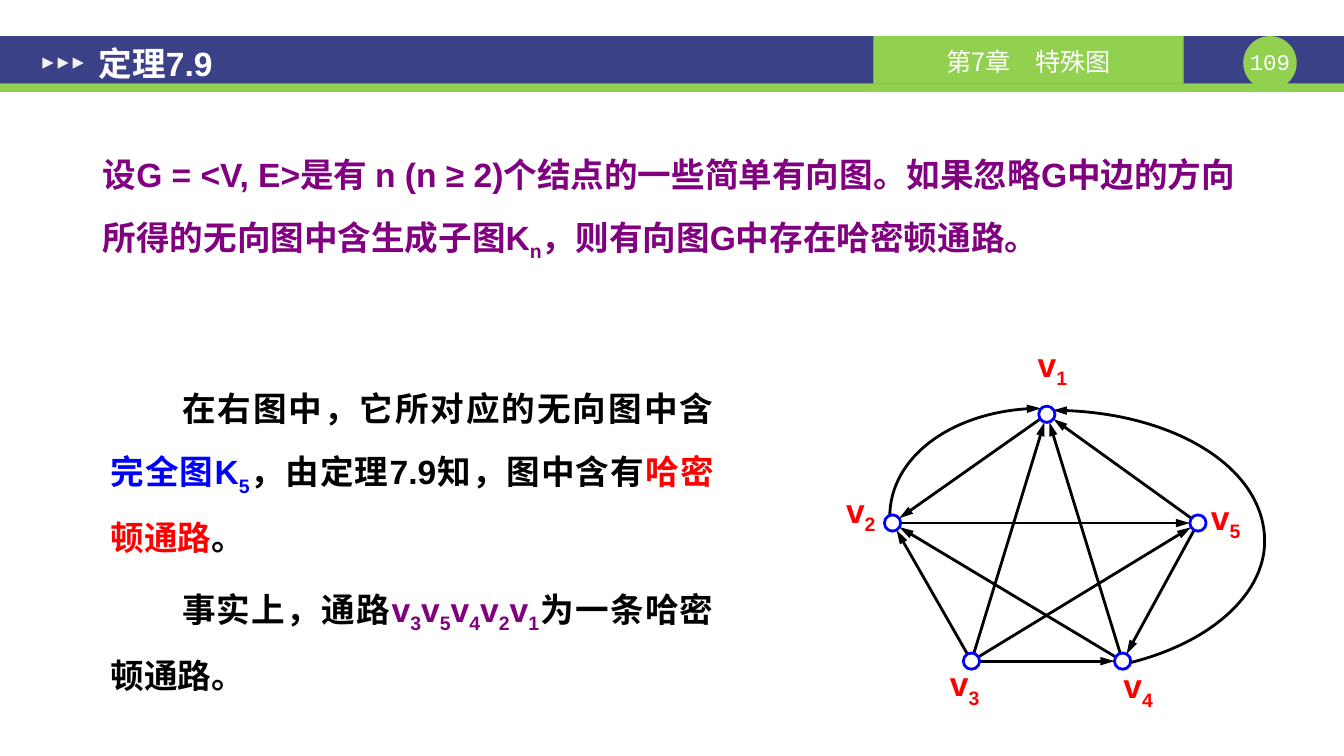
from math import hypot

from lxml import etree
from pptx import Presentation, util as u
from pptx.dml.color import RGBColor
from pptx.enum import shapes, text
from pptx.oxml.ns import qn

COLORS = {
    "navy": "3A4187", "green": "92D050", "pale": "F2F2F2", "white": "FFFFFF",
    "black": "000000", "purple": "800080", "blue": "0000FF", "red": "FF0000",
}
CJK_FONT = "Noto Sans CJK SC"
NODE_SIZE = 0.41
LABEL_SIZE = (1.6, 1.02)

NODES = {1: (26.39, 10.44), 2: (22.5, 13.18), 3: (24.49, 16.66),
         4: (28.3, 16.66), 5: (30.2, 13.18)}
LABELS = {1: (25.73, 8.66), 2: (20.9, 12.34), 3: (23.52, 16.71),
          4: (27.89, 16.76), 5: (30.1, 12.52)}
EDGES = [(2, 5), (3, 1), (4, 1), (3, 5), (1, 2),
         (5, 4), (3, 4), (4, 2), (5, 1), (3, 2)]
# Start point, then three points for each Bézier segment
ARCS = [
    [(26.54, 10.34), (29.49, 10.34), (31.88, 11.81), (31.88, 13.64),
     (31.88, 15.01), (30.45, 16.26), (28.32, 16.74)],
    [(26.24, 10.29), (24.13, 10.29), (22.43, 11.53), (22.43, 13.03)],
]


def rgb(name):
    return RGBColor.from_string(COLORS[name])


class Board:
    def __init__(self, slide, font="Arial", size=24, stroke=2):
        self.slide = slide
        self.font = font
        self.size = size
        self.stroke = stroke

    def shape(self, kind, box, fill, line=None):
        item = self.slide.shapes.add_shape(kind, *map(u.Cm, box))
        item.shadow.inherit = False
        item.fill.solid()
        item.fill.fore_color.rgb = rgb(fill)
        if line:
            self.outline(item, line)
        else:
            item.line.fill.background()
        return item

    def outline(self, item, color):
        item.line.color.rgb = rgb(color)
        item.line.width = u.Pt(self.stroke)

    def arrowhead(self, item, end):
        etree.SubElement(item.line._get_or_add_ln(), qn(f"a:{end}"),
                         type="triangle", w="med", len="lg")

    def edge(self, start, end):
        """Arrow between two node centres, trimmed to the node rims."""
        (x1, y1), (x2, y2) = start, end
        trim = NODE_SIZE / 2 / hypot(x2 - x1, y2 - y1)
        dx, dy = (x2 - x1) * trim, (y2 - y1) * trim
        ends = (x1 + dx, y1 + dy, x2 - dx, y2 - dy)
        line = self.slide.shapes.add_connector(
            shapes.MSO_CONNECTOR.STRAIGHT, *map(u.Cm, ends))
        self.outline(line, "black")
        self.arrowhead(line, "tailEnd")
        etree.SubElement(line._element.spPr, qn("a:effectLst"))

    def arc(self, points):
        """Bézier curve with an arrowhead at its first point."""
        start, *rest = [(u.Cm(x), u.Cm(y)) for x, y in points]
        builder = self.slide.shapes.build_freeform(*start)
        builder.add_line_segments(rest, close=False)
        curve = builder.convert_to_shape()
        curve.shadow.inherit = False
        curve.fill.background()
        self.outline(curve, "black")
        self.arrowhead(curve, "headEnd")
        route = next(curve._element.iter(qn("a:path")))
        corners = route.findall(qn("a:lnTo"))
        for i in range(0, len(corners), 3):
            bezier = etree.SubElement(route, qn("a:cubicBezTo"))
            for corner in corners[i:i + 3]:
                bezier.append(corner[0])
                route.remove(corner)

    def textbox(self, box, paragraphs, inset=(0, 0), anchor="TOP", **style):
        item = self.slide.shapes.add_textbox(*map(u.Cm, box))
        self.fill_text(item, paragraphs, inset * 2, anchor, **style)

    def fill_text(self, item, paragraphs, insets, anchor, align="LEFT",
                  indent=0, spacing=None, **font):
        """Each paragraph is a list of (marked text, colour)."""
        frame = item.text_frame
        frame.word_wrap = True
        frame.vertical_anchor = getattr(text.MSO_ANCHOR, anchor)
        (frame.margin_left, frame.margin_top,
         frame.margin_right, frame.margin_bottom) = map(u.Cm, insets)
        for i, spans in enumerate(paragraphs):
            paragraph = frame.add_paragraph() if i else frame.paragraphs[0]
            paragraph.alignment = getattr(text.PP_ALIGN, align)
            if spacing:
                paragraph.line_spacing = spacing
                if i:
                    paragraph.space_before = u.Pt(6)
            if indent:
                paragraph._p.get_or_add_pPr().set("indent", str(u.Cm(indent)))
            for marked, color in spans:
                self.spans(paragraph, marked, color, **font)

    def spans(self, paragraph, marked, color, **font):
        """Add text in which "_" lowers the one character after it."""
        first, *others = marked.split("_")
        self.run(paragraph, first, color, **font)
        for part in others:
            lowered = self.run(paragraph, part[0], color, **font)
            lowered._r.get_or_add_rPr().set("baseline", "-25000")
            self.run(paragraph, part[1:], color, **font)

    def run(self, paragraph, content, color, font=None, size=None, bold=True):
        if not content:
            return None
        run = paragraph.add_run()
        run.text = content
        run.font.size = u.Pt(size or self.size)
        run.font.bold = bold
        run.font.color.rgb = rgb(color)
        run.font.name = font or self.font
        etree.SubElement(run._r.get_or_add_rPr(), qn("a:ea"), typeface=CJK_FONT)
        return run


def draw_header(board, width):
    kinds = shapes.MSO_SHAPE
    board.shape(kinds.RECTANGLE, (0, 0.91, width, 1.2), "navy")
    board.shape(kinds.RECTANGLE, (0, 2.12, width, 0.2), "green")
    board.shape(kinds.OVAL, (31.34, 0.91, 1.35, 1.35), "green")
    board.textbox((31.34, 1.22, 1.35, 0.69), [[("109", "white")]],
                  align="CENTER", font="Courier New", size=16, bold=False)
    chapter = board.shape(kinds.RECTANGLE, (22.02, 0.91, 7.82, 1.2), "green")
    board.fill_text(chapter, [[("第7章　特殊图", "white")]],
                    (0.25, 0.1, 0.25, 0), "MIDDLE", align="CENTER",
                    font=CJK_FONT, size=18, bold=False)
    for i in range(3):
        marker = board.shape(kinds.ISOSCELES_TRIANGLE,
                             (1.07 + 0.38 * i, 1.45, 0.28, 0.28), "pale")
        marker.rotation = 90
    board.textbox((2.16, 0.99, 14.81, 1.19), [[("定理7.9", "white")]],
                  (0.33, 0.18), "MIDDLE")


def draw_statements(board):
    theorem = ("设G = <V, E>是有 n (n ≥ 2)个结点的一些简单有向图。如果忽略G中边的方向"
               "所得的无向图中含生成子图K_n，则有向图G中存在哈密顿通路。")
    board.textbox((2.26, 3.18, 29.87, 3.91), [[(theorem, "purple")]],
                  (0.33, 0.18), spacing=1.5)
    example = [
        [("在右图中，它所对应的无向图中含", "black"), ("完全图K_5", "blue"),
         ("，由定理7.9知，图中含有", "black"), ("哈密顿通路", "red"),
         ("。", "black")],
        [("事实上，通路", "black"), ("v_3v_5v_4v_2v_1", "purple"),
         ("为一条哈密顿通路。", "black")],
    ]
    board.textbox((2.54, 9.14, 15.7, 8.15), example, (0.25, 0.13),
                  align="JUSTIFY", indent=1.8, spacing=1.5)


def draw_graph(board):
    for tail, head in EDGES:
        board.edge(NODES[tail], NODES[head])
    for points in ARCS:
        board.arc(points)
    for number, (x, y) in NODES.items():
        board.textbox(LABELS[number] + LABEL_SIZE,
                      [[(f"v_{number}", "red")]], align="CENTER")
        board.shape(shapes.MSO_SHAPE.OVAL,
                    (x - NODE_SIZE / 2, y - NODE_SIZE / 2, NODE_SIZE, NODE_SIZE),
                    "white", "blue")


def main():
    width = 33.88
    deck = Presentation()
    deck.slide_width, deck.slide_height = u.Cm(width), u.Cm(19.05)
    board = Board(deck.slides.add_slide(deck.slide_layouts[6]))
    draw_header(board, width)
    draw_statements(board)
    draw_graph(board)
    deck.save("out.pptx")


if __name__ == "__main__":
    main()
